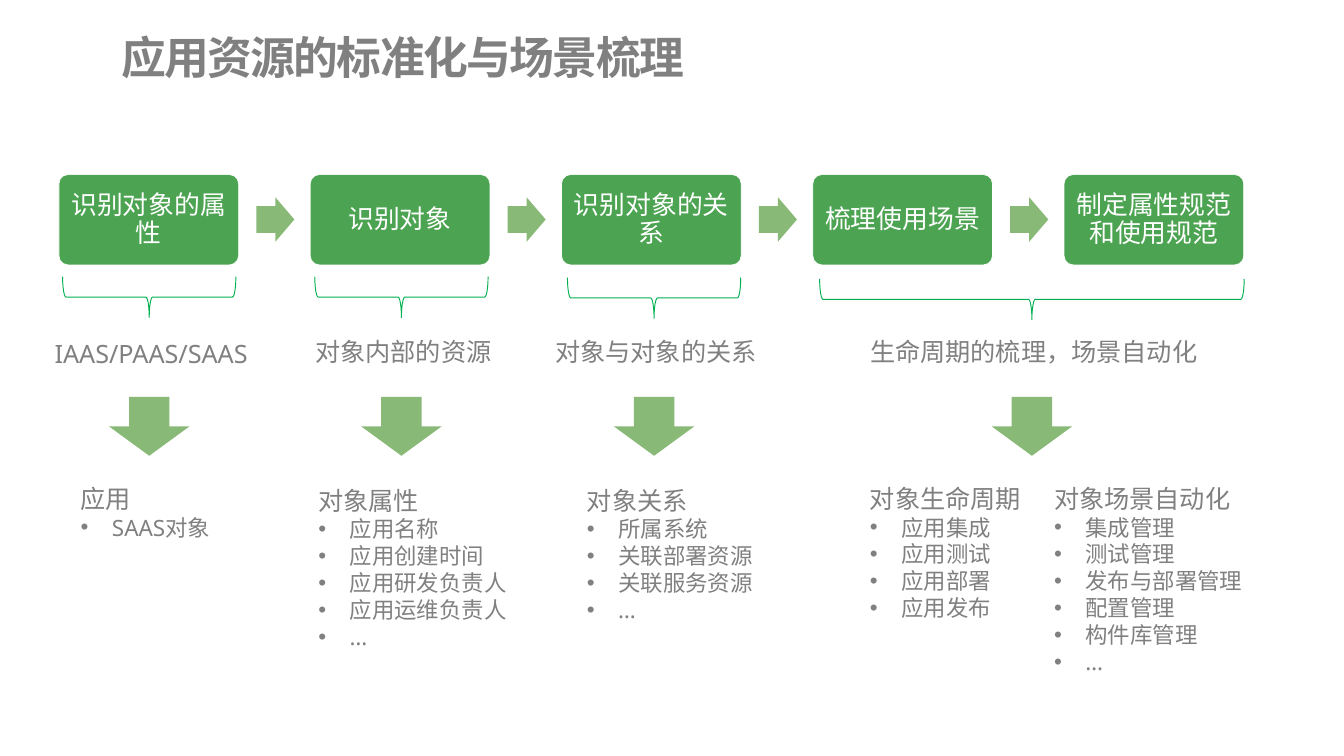
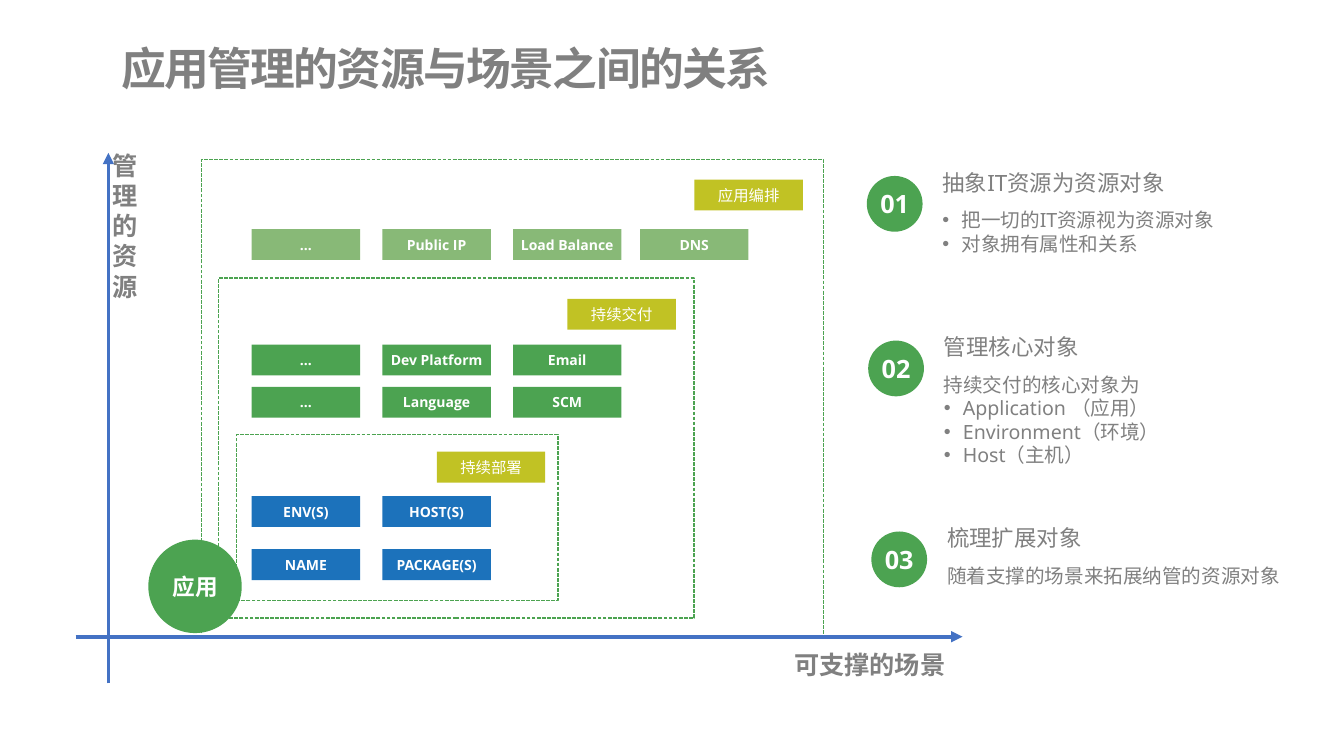
from lxml.etree import SubElement
from pptx import Presentation
from pptx.dml.color import RGBColor
from pptx.enum.dml import MSO_LINE
from pptx.enum.shapes import MSO_CONNECTOR, MSO_SHAPE as KIND
from pptx.enum.text import MSO_ANCHOR as ANCHOR, MSO_AUTO_SIZE as FIT, PP_ALIGN as ALIGN
from pptx.oxml.ns import qn
from pptx.util import Inches, Pt

HUE = {
    "gray": "808080", "white": "FFFFFF", "green": "4CA351", "pale": "88B977",
    "brace": "00B050", "blue": "1C72BB", "olive": "C1C224", "axis": "4472C4",
}


def put(page, kind, at, fill=None, line=None, width=1):
    """Add a preset shape, or a text box when kind is None."""
    at = [Inches(v) for v in at]
    if kind is None:
        box = page.shapes.add_textbox(*at)
        box.text_frame.auto_size = FIT.SHAPE_TO_FIT_TEXT
        return box
    shape = page.shapes.add_shape(kind, *at)
    shape.shadow.inherit = False
    for part, hue in ((shape.fill, fill), (shape.line.fill, line)):
        if hue:
            part.solid()
            part.fore_color.rgb = RGBColor.from_string(HUE[hue])
        else:
            part.background()
    if line:
        shape.line.width = Pt(width)
    return shape


def write(shape, text, size=40, items=(), small=35.6, indent=0.69, hue="gray",
          font="Noto Sans", bold=False, align=ALIGN.LEFT, anchor=ANCHOR.TOP,
          inset=(0.1, 0.05), wrap=True, lead=None, track=None):
    """Fill a shape with an optional line of text, then bulleted items."""
    frame = shape.text_frame
    frame.word_wrap = wrap
    frame.vertical_anchor = anchor
    frame.margin_left = frame.margin_right = Inches(inset[0])
    frame.margin_top = frame.margin_bottom = Inches(inset[1])
    rows = [(text, size, False)] if text else []
    rows += [(item, small, True) for item in items]
    for i, (words, points, bullet) in enumerate(rows):
        para = frame.add_paragraph() if i else frame.paragraphs[0]
        para.alignment = align
        if lead:
            para.line_spacing = lead
        if bullet:
            props = para._p.get_or_add_pPr()
            props.set("marL", str(Inches(indent)))
            props.set("indent", str(-Inches(indent)))
            SubElement(props, qn("a:buFont"), typeface="Arial")
            SubElement(props, qn("a:buChar"), char="•")
        run = para.add_run()
        run.text = words
        run.font.size = Pt(points)
        run.font.bold = bold
        run.font.name = font
        run.font.color.rgb = RGBColor.from_string(HUE[hue])
        props = run._r.get_or_add_rPr()
        SubElement(props, qn("a:ea"), typeface=font)
        if track:
            props.set("spc", str(track))


deck = Presentation()
deck.slide_width, deck.slide_height = Inches(29.63), Inches(16.67)
pages = []
for title, top, wide in (
    ("应用资源的标准化与场景梳理", 0.49, 14.34),
    ("应用管理的资源与场景之间的关系", 0.73, 15.47),
):
    page = deck.slides.add_slide(deck.slide_layouts[6])
    write(put(page, None, (2.37, top, wide, 1.52)), title, size=71.1, bold=True,
          anchor=ANCHOR.MIDDLE, inset=(0.3, 0.15), track=-250)
    pages.append(page)
flow, scope = pages
center = dict(hue="white", align=ALIGN.CENTER, anchor=ANCHOR.MIDDLE, inset=(0, 0))

# Slide 1: steps
steps = ["识别对象的属性", "识别对象", "识别对象的关系", "梳理使用场景", "制定属性规范和使用规范"]
for i, step in enumerate(steps):
    left = 1.3 + 5.54 * i
    box = put(flow, KIND.ROUNDED_RECTANGLE, (left, 3.85, 3.96, 1.99), "green", "white")
    box.adjustments[0] = 0.1
    write(box, step, size=41, lead=0.9, **{**center, "inset": (0.17, 0.17)})
    if i < len(steps) - 1:
        arrow = put(flow, KIND.RIGHT_ARROW, (left + 4.35, 4.35, 0.84, 0.98), "pale")
        arrow.adjustments[0] = 0.6

# Slide 1: one brace, label and arrow per group (middle, brace middle, span, label top)
for mid, level, span, top, wide, label in (
    (3.29, 6.55, 3.82, 7.41, 5.01, "IAAS/PAAS/SAAS"),
    (8.85, 6.55, 3.82, 7.36, 5.01, "对象内部的资源"),
    (14.42, 6.57, 3.82, 7.36, 5.01, "对象与对象的关系"),
    (22.75, 6.6, 9.36, 7.36, 7.97, "生命周期的梳理，场景自动化"),
):
    brace = put(flow, KIND.LEFT_BRACE, (mid - 0.45, level - span / 2, 0.9, span),
                line="brace", width=1.5)
    brace.rotation = 270
    write(put(flow, None, (mid + 0.04 - wide / 2, top, wide, 0.79)), label,
          align=ALIGN.CENTER)
    put(flow, KIND.DOWN_ARROW, (mid - 0.89, 8.75, 1.78, 1.3), "pale")

# Slide 1: lists
for left, top, head, items in (
    (1.68, 10.61, "应用", ["SAAS对象"]),
    (6.92, 10.65, "对象属性",
     ["应用名称", "应用创建时间", "应用研发负责人", "应用运维负责人", "…"]),
    (12.84, 10.65, "对象关系", ["所属系统", "关联部署资源", "关联服务资源", "…"]),
    (19.08, 10.61, "对象生命周期", ["应用集成", "应用测试", "应用部署", "应用发布"]),
    (23.14, 10.61, "对象场景自动化",
     ["集成管理", "测试管理", "发布与部署管理", "配置管理", "构件库管理", "…"]),
):
    high = 0.79 + 0.61 * len(items)
    write(put(flow, None, (left, top, 5.01, high)), head, items=items)

# Slide 2: nested scopes and their tags
for frame, tag, spot in (
    ((4.45, 3.51, 13.7, 10.54), "应用编排", (15.31, 3.96)),
    ((4.82, 6.13, 10.48, 7.5), "持续交付", (12.51, 6.59)),
    ((5.22, 9.58, 7.08, 3.66), "持续部署", (9.63, 9.96)),
):
    edge = put(scope, KIND.RECTANGLE, frame, line="green", width=2)
    edge.line.dash_style = MSO_LINE.SQUARE_DOT
    write(put(scope, KIND.RECTANGLE, (*spot, 2.39, 0.68), "olive"), tag, size=24.4, **center)

# Slide 2: resource tiles
cols = (5.55, 8.43, 11.31, 14.11)
for top, hue, names in (
    (5.05, "pale", ["…", "Public IP", "Load Balance", "DNS"]),
    (7.6, "green", ["…", "Dev Platform", "Email"]),
    (8.53, "green", ["…", "Language", "SCM"]),
    (10.94, "blue", ["ENV(S)", "HOST(S)"]),
    (12.11, "blue", ["NAME", "PACKAGE(S)"]),
):
    for left, name in zip(cols, names):
        write(put(scope, KIND.RECTANGLE, (left, top, 2.39, 0.68), hue), name,
              size=22.2, font="Open Sans", bold=True, **center)

write(put(scope, KIND.OVAL, (3.27, 11.9, 2.06, 2.06), "green"), "应用",
      size=36, font="Arial", bold=True, **center)

# Slide 2: axes
for ends in ((2.39, 15.07, 2.39, 3.37), (1.67, 14.04, 21.22, 14.04)):
    axis = scope.shapes.add_connector(MSO_CONNECTOR.STRAIGHT, *[Inches(v) for v in ends])
    axis.line.color.rgb = RGBColor.from_string(HUE["axis"])
    axis.line.width = Pt(6)
    props = axis._element.spPr
    SubElement(props.find(qn("a:ln")), qn("a:tailEnd"), type="triangle")
    SubElement(props, qn("a:effectLst"))

side = put(scope, None, (2.39, 3.26, 1.07, 4.42))
write(side, "管理的资源", font="Arial", bold=True, wrap=False)
side.text_frame._txBody.bodyPr.set("vert", "wordArtVertRtl")
write(put(scope, None, (17.41, 14.26, 3.62, 0.79)), "可支撑的场景", bold=True, wrap=False)

# Slide 2: numbered notes
for i, (left, top, head, lead, items) in enumerate((
    (19.11, 3.88, "抽象IT资源为资源对象", None,
     ["把一切的IT资源视为资源对象", "对象拥有属性和关系"]),
    (19.14, 7.51, "管理核心对象", "持续交付的核心对象为",
     ["Application （应用）", "Environment（环境）", "Host（主机）"]),
    (19.21, 11.72, "梳理扩展对象", "随着支撑的场景来拓展纳管的资源对象", []),
), 1):
    write(put(scope, KIND.OVAL, (left, top, 1.23, 1.23), "green"), f"{i:02}",
          font="Open Sans", bold=True, **center)
    write(put(scope, None, (left + 1.57, top - 0.21, 5.77, 0.71)), head, size=35.6)
    high = 0.1 + 0.53 * (len(items) + bool(lead))
    write(put(scope, None, (left + 1.57, top + 0.66, 7.94, high)), lead, size=31.1,
          items=items, small=31.1, indent=0.42)

deck.save("out.pptx")
